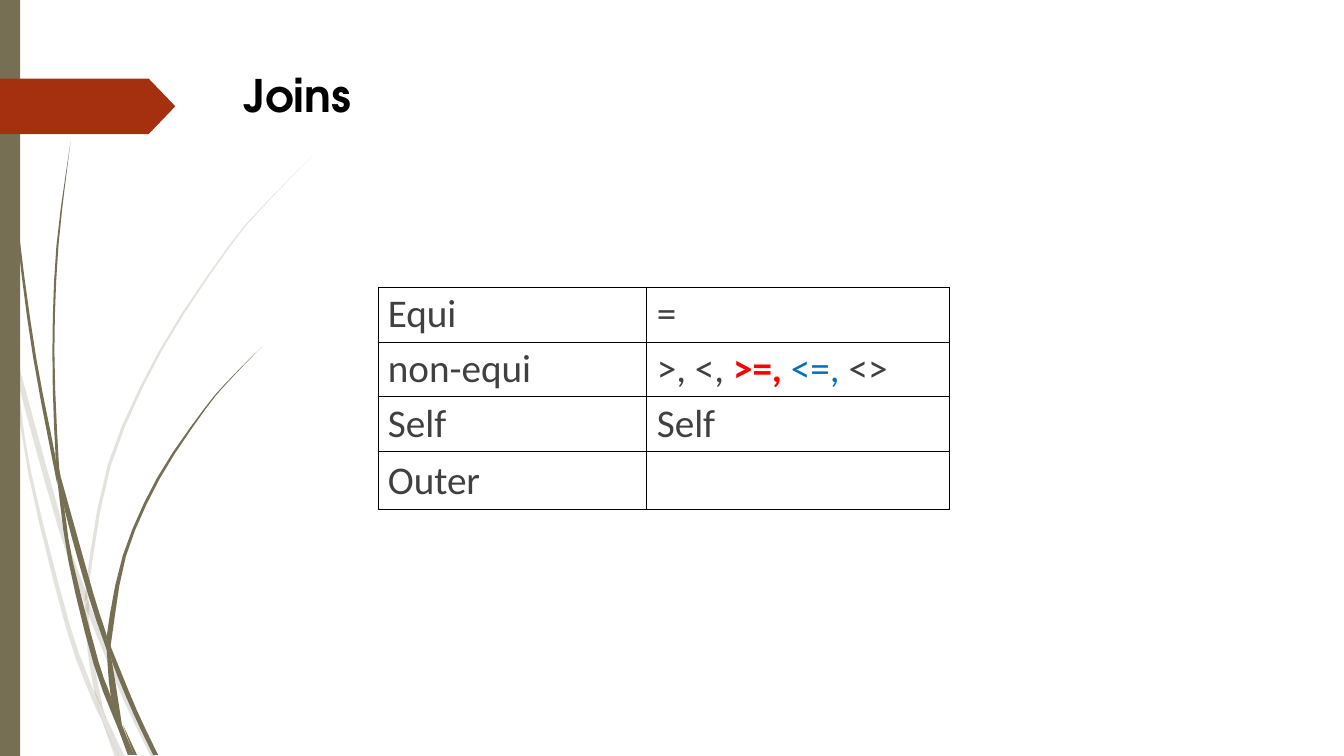
from dataclasses import dataclass

from lxml import etree
from pptx import Presentation
from pptx.dml.color import RGBColor
from pptx.enum.shapes import MSO_SHAPE
from pptx.enum.text import MSO_ANCHOR, MSO_AUTO_SIZE, PP_ALIGN
from pptx.oxml.ns import qn
from pptx.util import Inches, Pt

RECTANGLE = MSO_SHAPE.RECTANGLE
PENTAGON = MSO_SHAPE.PENTAGON
MIDDLE, BOTTOM = MSO_ANCHOR.MIDDLE, MSO_ANCHOR.BOTTOM
LEFT = PP_ALIGN.LEFT
FIXED_SIZE = MSO_AUTO_SIZE.NONE
TITLE_ONLY = 5
COLUMNS, ROWS = 13.34, 7.5
CURVE_STEPS = 3


@dataclass(frozen=True)
class Theme:
    olive: str = "766F54"
    rust: str = "A53010"
    black: str = "000000"
    text: str = "404040"
    red: str = "FF0000"
    blue: str = "0070C0"
    title_font: str = "TeX Gyre Adventor"
    body_font: str = "Calibri"
    title_size: float = 32
    body_size: float = 28
    border: float = 0.45
    pale_opacity: int = 20


THEME = Theme()

PALE_BLADES = [
    ([(0, 2.99), (0.1, 3.44), (0.11, 3.5)], [(0, 2.82), (0.08, 3.22), (0.11, 3.5)]),
    ([(0.14, 3.45), (0.17, 3.76), (0.57, 5.21), (0.84, 5.99)], [(0.14, 3.45), (0.62, 5.2), (0.85, 5.86)]),
    ([(0.88, 5.96), (0.88, 6.1), (1.22, 6.93), (1.5, 7.51)],
     [(0.88, 5.96), (0.92, 6.07), (1.27, 6.91), (1.55, 7.51)]),
    ([(1.05, 7.11), (1.19, 7.51)], [(1.05, 7.11), (1.24, 7.51)]),
    ([(0.11, 3.5), (0.28, 4.69), (0.65, 6.21), (0.91, 6.93), (1.01, 7.14)],
     [(0.11, 3.5), (0.17, 3.76), (0.31, 4.69), (0.69, 6.19), (0.92, 6.83), (1.01, 7.14)]),
    ([(0.84, 5.99), (0.87, 6.46), (0.93, 6.83), (0.96, 6.92), (1.05, 7.11)],
     [(0.84, 5.99), (0.88, 6.1), (0.91, 6.45), (1.03, 7.06), (1.05, 7.11)]),
    ([(3.12, 1.53), (2.68, 1.97), (2.27, 2.44), (1.58, 3.48), (1.07, 4.61), (0.85, 5.83), (0.88, 5.95)],
     [(3.12, 1.53), (2.68, 1.98), (2.28, 2.45), (1.6, 3.49), (1.1, 4.62), (0.88, 5.83), (0.88, 5.95)]),
    ([(1.01, 7.14), (1.14, 7.51)], [(1.01, 7.14), (1.18, 7.51)]),
    ([(0.85, 5.86), (0.84, 5.99), (0.88, 6.1)], [(0.85, 5.86), (0.88, 5.96), (0.88, 6.1)]),
    ([(0.93, 6.83), (1.01, 7.14), (1.18, 7.51)], [(0.93, 6.83), (1.05, 7.11), (1.19, 7.51)]),
]
DARK_BLADES = [
    ([(0.03, 0), (0.07, 1.1), (0.17, 2.33), (0.33, 3.55), (0.57, 4.81)],
     [(0.03, 0), (0.08, 1.09), (0.19, 2.32), (0.36, 3.55), (0.55, 4.53), (0.57, 4.81)]),
    ([(0.6, 4.72), (0.64, 5.05), (0.88, 5.92), (1.06, 6.45)],
     [(0.6, 4.72), (0.93, 5.9), (1.06, 6.31), (1.06, 6.45)]),
    ([(1.1, 6.41), (1.11, 6.56), (1.32, 7.07), (1.52, 7.49)],
     [(1.1, 6.41), (1.13, 6.49), (1.36, 7.05), (1.57, 7.49)]),
    ([(0.57, 4.77), (0.68, 5.57), (0.93, 6.59), (1.17, 7.22)],
     [(0.57, 4.77), (0.64, 5.05), (0.72, 5.56), (0.98, 6.57), (1.1, 6.91), (1.17, 7.22)]),
    ([(0.7, 1.41), (0.56, 2.44), (0.52, 3.49), (0.55, 4.49), (0.6, 4.72)],
     [(0.7, 1.41), (0.58, 2.44), (0.54, 3.49), (0.58, 4.53), (0.6, 4.72)]),
    ([(1.22, 7.19), (1.33, 7.49)], [(1.22, 7.19), (1.36, 7.49)]),
    ([(0.55, 4.49), (0.57, 4.77), (0.64, 5.05)], [(0.55, 4.49), (0.6, 4.72), (0.64, 5.05)]),
    ([(2.6, 3.44), (2.31, 3.73), (2.03, 4.05), (1.56, 4.74), (1.22, 5.51), (1.06, 6.31), (1.1, 6.41)],
     [(2.6, 3.44), (2.31, 3.74), (2.04, 4.06), (1.58, 4.76), (1.25, 5.52), (1.11, 6.33), (1.1, 6.41)]),
    ([(1.17, 7.22), (1.27, 7.49)], [(1.17, 7.22), (1.3, 7.49)]),
    ([(1.06, 6.45), (1.1, 6.91), (1.21, 7.19)], [(1.06, 6.45), (1.11, 6.56), (1.21, 7.19)]),
    ([(1.06, 6.31), (1.06, 6.45), (1.1, 6.56)], [(1.06, 6.31), (1.1, 6.41), (1.1, 6.56)]),
    ([(1.1, 6.91), (1.17, 7.22), (1.3, 7.49)], [(1.1, 6.91), (1.21, 7.19), (1.33, 7.49)]),
]
JOINS = [
    [[("Equi", THEME.text, False)], [("=", THEME.text, False)]],
    [[("non-equi", THEME.text, False)],
     [(">, <, ", THEME.text, False), (">=, ", THEME.red, True),
      ("<=,", THEME.blue, False), (" <>", THEME.text, False)]],
    [[("Self", THEME.text, False)], [("Self", THEME.text, False)]],
    [[("Outer", THEME.text, False)], []],
]


def smooth(knots):
    padded = [knots[0], *knots, knots[-1]]
    points = [knots[0]]
    for before, start, end, after in zip(padded, padded[1:], padded[2:], padded[3:]):
        for step in range(1, CURVE_STEPS + 1):
            t = step / CURVE_STEPS
            points.append(tuple(
                (2 * b + (c - a) * t + (2 * a - 5 * b + 4 * c - d) * t ** 2
                 + (3 * b - a - 3 * c + d) * t ** 3) / 2
                for a, b, c, d in zip(before, start, end, after)))
    return points


class SlideBuilder:
    def __init__(self, presentation, theme):
        self.theme = theme
        self.column = presentation.slide_width / COLUMNS
        self.row = presentation.slide_height / ROWS
        self.slide = presentation.slides.add_slide(presentation.slide_layouts[TITLE_ONLY])

    def box(self, left, top, width, height):
        return (round(left * self.column), round(top * self.row),
                round(width * self.column), round(height * self.row))

    def paint(self, shape, color, opacity=100):
        shape.shadow.inherit = False
        shape.fill.solid()
        shape.fill.fore_color.rgb = RGBColor.from_string(color)
        shape.line.fill.background()
        if opacity < 100:
            solid_color = shape.fill._xPr.find(qn("a:solidFill"))[0]
            etree.SubElement(solid_color, qn("a:alpha"), val=str(opacity * 1000))

    def blade(self, left_edge, right_edge, opacity=100):
        outline = [(x * self.column, y * self.row)
                   for x, y in smooth(left_edge) + smooth(right_edge)[:0:-1]]
        builder = self.slide.shapes.build_freeform(*outline[0])
        builder.add_line_segments(outline[1:], close=True)
        self.paint(builder.convert_to_shape(), self.theme.olive, opacity)

    def block(self, kind, color, *place):
        shape = self.slide.shapes.add_shape(kind, *self.box(*place))
        self.paint(shape, color)
        return shape

    def title(self, text, *place):
        shape = self.slide.shapes.title
        shape.left, shape.top, shape.width, shape.height = self.box(*place)
        frame = shape.text_frame
        frame.text = text
        frame.word_wrap = True
        frame.auto_size = FIXED_SIZE
        frame.vertical_anchor = MIDDLE
        frame.margin_left = frame.margin_top = frame.margin_right = frame.margin_bottom = 0
        paragraph = frame.paragraphs[0]
        paragraph.alignment = LEFT
        paragraph.line_spacing = 0.99
        font = paragraph.font
        font.name, font.size, font.bold = self.theme.title_font, Pt(self.theme.title_size), True
        font.color.rgb = RGBColor.from_string(self.theme.black)

    def cell(self, cell, runs, line_spacing):
        cell.vertical_anchor = BOTTOM
        properties = cell._tc.get_or_add_tcPr()
        for side in ("a:lnL", "a:lnR", "a:lnT", "a:lnB"):
            line = etree.SubElement(properties, qn(side), w=str(Pt(self.theme.border)))
            fill = etree.SubElement(line, qn("a:solidFill"))
            etree.SubElement(fill, qn("a:srgbClr"), val=self.theme.black)
        cell.fill.background()
        paragraph = cell.text_frame.paragraphs[0]
        paragraph.line_spacing = line_spacing
        paragraph.font.name = self.theme.body_font
        paragraph.font.size = Pt(self.theme.body_size)
        for text, color, bold in runs:
            run = paragraph.add_run()
            run.text = text
            run.font.bold = bold
            run.font.color.rgb = RGBColor.from_string(color)

    def table(self, rows, left, top, widths, heights):
        place = self.box(left, top, sum(widths), sum(heights))
        table = self.slide.shapes.add_table(len(rows), len(widths), *place).table
        table.first_row = table.horz_banding = False
        for column, width in zip(table.columns, widths):
            column.width = round(width * self.column)
        for row, height in zip(table.rows, heights):
            row.height = round(height * self.row)
        for row_index, row in enumerate(rows):
            line_spacing = 0.99 if row_index == len(rows) - 1 else 0.93
            for column_index, runs in enumerate(row):
                self.cell(table.cell(row_index, column_index), runs, line_spacing)


def main():
    presentation = Presentation()
    presentation.slide_width, presentation.slide_height = Inches(COLUMNS), Inches(ROWS)
    builder = SlideBuilder(presentation, THEME)
    for blades, opacity in ((PALE_BLADES, THEME.pale_opacity), (DARK_BLADES, 100)):
        for edges in blades:
            builder.blade(*edges, opacity)
    builder.block(RECTANGLE, THEME.olive, 0, 0, 0.2, ROWS)
    flag = builder.block(PENTAGON, THEME.rust, 0, 0.78, 1.74, 0.55)
    flag.adjustments[0] = 0.48
    builder.title("Joins", 2.42, 0.33, 10.91, 1.25)
    builder.table(JOINS, 3.75, 2.85, [2.67, 3], [0.54, 0.54, 0.54, 0.57])
    presentation.save("out.pptx")


if __name__ == "__main__":
    main()
